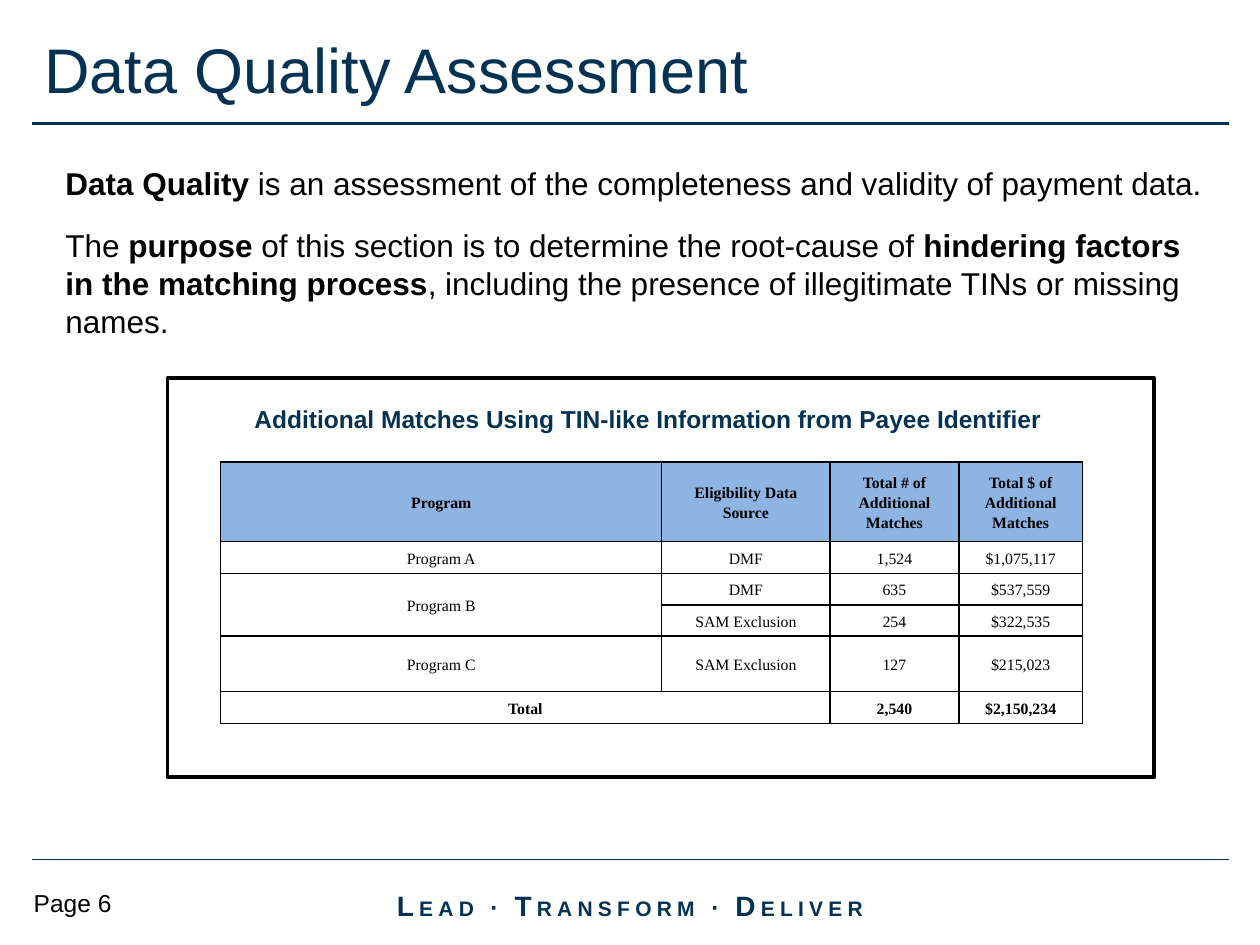
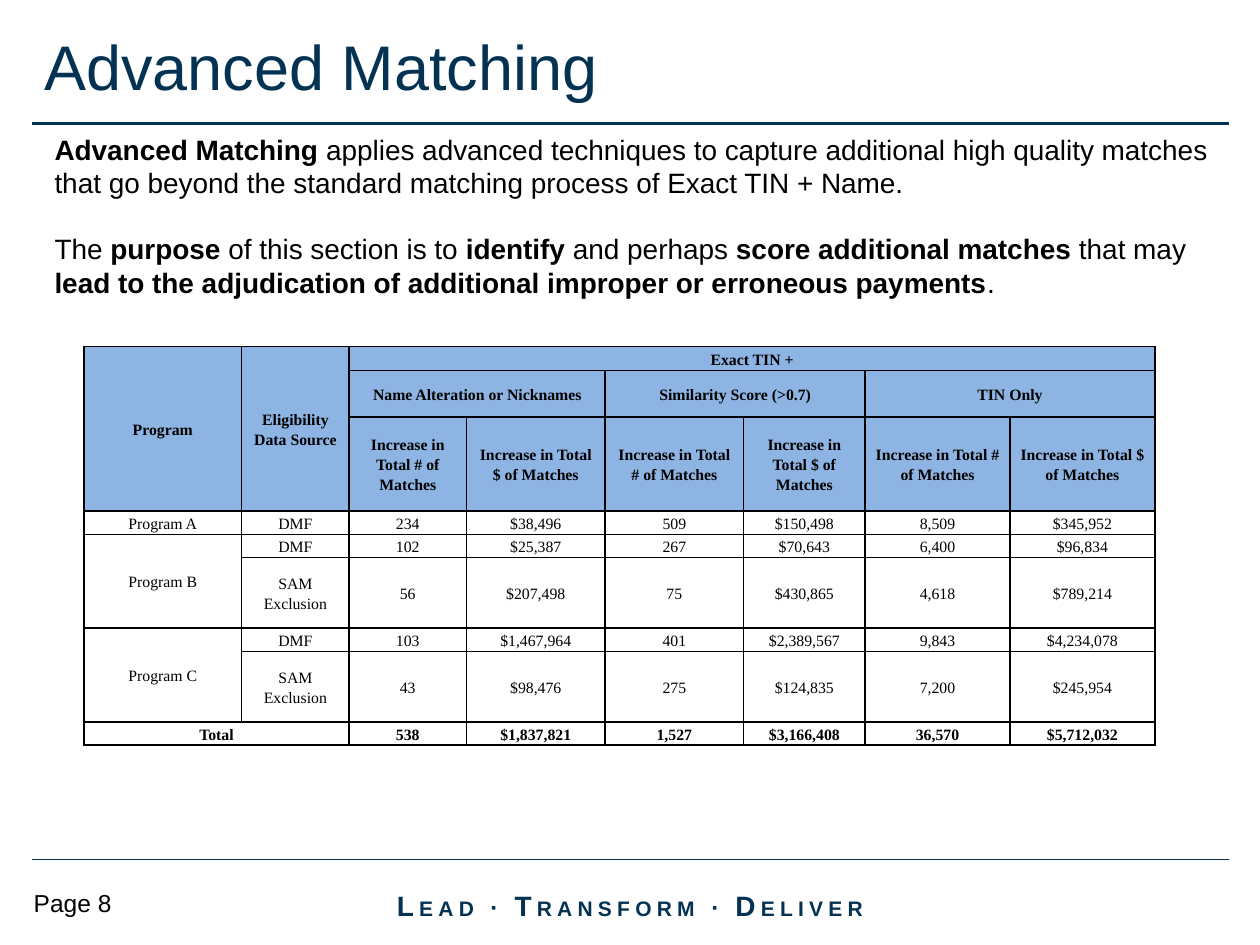
from dataclasses import dataclass

from lxml import etree
from pptx import Presentation
from pptx.dml.color import RGBColor
from pptx.enum.shapes import MSO_CONNECTOR, MSO_SHAPE
from pptx.enum.text import MSO_ANCHOR, MSO_AUTO_SIZE, PP_ALIGN
from pptx.oxml.ns import qn
from pptx.util import Cm, Pt

LEFT, CENTER = PP_ALIGN.LEFT, PP_ALIGN.CENTER
TOP, MIDDLE = MSO_ANCHOR.TOP, MSO_ANCHOR.MIDDLE
STRAIGHT, RECTANGLE = MSO_CONNECTOR.STRAIGHT, MSO_SHAPE.RECTANGLE
NO_AUTOFIT = MSO_AUTO_SIZE.NONE
TITLE_ONLY = 5


@dataclass(frozen=True)
class Theme:
    navy: str = "043253"
    black: str = "000000"
    white: str = "FFFFFF"
    header_blue: str = "8DB4E2"
    sans: str = "Arial"
    serif: str = "Times New Roman"
    title_size: int = 36
    caption_size: int = 14
    page_size: int = 14
    slogan_initial: int = 16
    slogan_dot: int = 14
    slogan_rest: int = 12
    table_size: int = 9


THEME = Theme()

# Content. Boxes are left, top, width, height in centimetres; **text** is bold.
# In a table, "<" continues the cell to the left and "^" the cell above.
SLOGAN = ["Lead", "Transform", "Deliver"]
COUNT, AMOUNT = "Increase in Total # of Matches", "Increase in Total $ of Matches"

SLIDES = [
    {
        "title": "Data Quality Assessment",
        "title_anchor": MIDDLE,
        "page": 6,
        "body": {
            "box": (1.07, 3.18, 23.57, 3.84),
            "size": 18,
            "gap": 14,
            "paragraphs": [
                "**Data Quality** is an assessment of the completeness and validity "
                "of payment data.",
                "The **purpose** of this section is to determine the root-cause of "
                "**hindering factors in the matching process**, including the "
                "presence of illegitimate TINs or missing names.",
            ],
        },
        "panel": {
            "box": (3.38, 7.62, 19.89, 8.05),
            "caption": "Additional Matches Using TIN-like Information from Payee Identifier",
            "caption_box": (4.88, 8.03, 19.2, 0.86),
        },
        "table": {
            "corner": (4.45, 9.31),
            "columns": [8.89, 3.39, 2.6, 2.49],
            "heights": [1.61, 0.64, 0.64, 0.62, 1.12, 0.64],
            "header_rows": 1,
            "rows": [
                ["Program", "Eligibility Data Source",
                 "Total # of Additional Matches", "Total $ of Additional Matches"],
                ["Program A", "DMF", "1,524", "$1,075,117"],
                ["Program B", "DMF", "635", "$537,559"],
                ["^", "SAM Exclusion", "254", "$322,535"],
                ["Program C", "SAM Exclusion", "127", "$215,023"],
                ["Total", "<", "2,540", "$2,150,234"],
            ],
        },
    },
    {
        "title": "Advanced Matching",
        "title_anchor": TOP,
        "page": 8,
        "body": {
            "box": (0.85, 2.54, 23.93, 3.68),
            "size": 16,
            "gap": 18.4,
            "paragraphs": [
                "**Advanced Matching** applies advanced techniques to capture "
                "additional high quality matches that go beyond the standard "
                "matching process of Exact TIN + Name.",
                "The **purpose** of this section is to **identify** and perhaps "
                "**score additional matches** that may **lead to the adjudication "
                "of additional improper or erroneous payments**.",
            ],
        },
        "table": {
            "corner": (1.69, 6.99),
            "columns": [3.18, 2.17, 2.36, 2.8, 2.79, 2.45, 2.92, 2.92],
            "heights": [0.48, 0.94, 1.89, 0.47, 0.47, 1.42, 0.47, 1.42, 0.47],
            "header_rows": 3,
            "rows": [
                ["Program", "Eligibility Data Source", "Exact TIN +", *"<<<<<"],
                ["^", "^", "Name Alteration or Nicknames", "<",
                 "Similarity Score (>0.7)", "<", "TIN Only", "<"],
                ["^", "^", *[COUNT, AMOUNT] * 3],
                ["Program A", "DMF", "234", "$38,496", "509", "$150,498", "8,509", "$345,952"],
                ["Program B", "DMF", "102", "$25,387", "267", "$70,643", "6,400", "$96,834"],
                ["^", "SAM Exclusion", "56", "$207,498", "75", "$430,865", "4,618", "$789,214"],
                ["Program C", "DMF", "103", "$1,467,964", "401", "$2,389,567",
                 "9,843", "$4,234,078"],
                ["^", "SAM Exclusion", "43", "$98,476", "275", "$124,835", "7,200", "$245,954"],
                ["Total", "<", "538", "$1,837,821", "1,527", "$3,166,408",
                 "36,570", "$5,712,032"],
            ],
        },
    },
]

TITLE_BOX = (0.64, 0.43, 24.13, 1.9)
SLOGAN_BOX = (7.19, 17.75, 11.02, 1.02)
PAGE_BOX = (0.43, 17.78, 3.18, 0.84)
RULE_LEFT, RULE_RIGHT = 0.64, 24.77
RULES = [(2.49, 2.25), (17.32, 0.75)]  # top in centimetres, weight in points


def lengths(values):
    return [Cm(value) for value in values]


def set_values(target, values):
    for name, value in values.items():
        setattr(target, name, value)


def add_run(paragraph, text, size, color=THEME.black, bold=False, font=THEME.sans):
    run = paragraph.add_run()
    run.text = text
    set_values(run.font, {"name": font, "size": Pt(size), "bold": bold})
    run.font.color.rgb = RGBColor.from_string(color)
    return run


def add_text_box(slide, box, anchor=TOP):
    frame = slide.shapes.add_textbox(*lengths(box)).text_frame
    set_values(frame, {"word_wrap": True, "vertical_anchor": anchor})
    return frame


def add_title(slide, text, anchor):
    title = slide.shapes.title
    set_values(title, dict(zip(("left", "top", "width", "height"), lengths(TITLE_BOX))))
    frame = title.text_frame
    set_values(frame, {"word_wrap": True, "vertical_anchor": anchor, "auto_size": NO_AUTOFIT})
    paragraph = frame.paragraphs[0]
    paragraph.alignment = LEFT
    add_run(paragraph, text, THEME.title_size, THEME.navy)


def add_rule(slide, top, weight):
    rule = slide.shapes.add_connector(
        STRAIGHT, *lengths((RULE_LEFT, top, RULE_RIGHT, top)))
    rule.line.color.rgb = RGBColor.from_string(THEME.navy)
    rule.line.width = Pt(weight)
    etree.SubElement(rule._element.spPr, qn("a:effectLst"))


def add_slogan(slide):
    """Write the slogan as spaced capitals with larger initials."""
    paragraph = add_text_box(slide, SLOGAN_BOX, MIDDLE).paragraphs[0]
    paragraph.alignment = CENTER
    pieces = []
    for word in SLOGAN:
        if pieces:
            pieces.append((" ", THEME.slogan_rest))
            pieces.append(("∙ ", THEME.slogan_dot))
        pieces.append((word[0], THEME.slogan_initial))
        pieces.append((word[1:].upper(), THEME.slogan_rest))
    for text, size in pieces:
        run = add_run(paragraph, text, size, THEME.navy, bold=True)
        run._r.get_or_add_rPr().set("spc", "300")


def add_frame(slide, page):
    """Add the rules, slogan and page label that every slide carries."""
    for top, weight in RULES:
        add_rule(slide, top, weight)
    add_slogan(slide)
    page_label = add_text_box(slide, PAGE_BOX).paragraphs[0]
    add_run(page_label, f"Page {page}", THEME.page_size)


def add_body(slide, body):
    frame = add_text_box(slide, body["box"])
    for index, marked_text in enumerate(body["paragraphs"]):
        paragraph = frame.add_paragraph() if index else frame.paragraphs[0]
        paragraph.space_before = Pt(body["gap"] if index else 0)
        for part, text in enumerate(marked_text.split("**")):
            if text:
                add_run(paragraph, text, body["size"], bold=part % 2 == 1)


def add_panel(slide, panel):
    shape = slide.shapes.add_shape(RECTANGLE, *lengths(panel["box"]))
    shape.shadow.inherit = False
    shape.fill.solid()
    shape.fill.fore_color.rgb = RGBColor.from_string(THEME.white)
    shape.line.color.rgb = RGBColor.from_string(THEME.black)
    shape.line.width = Pt(2)
    caption = add_text_box(slide, panel["caption_box"]).paragraphs[0]
    add_run(caption, panel["caption"], THEME.caption_size, THEME.navy, bold=True)


def add_borders(cell):
    properties = cell._tc.get_or_add_tcPr()
    for side in ("lnL", "lnR", "lnT", "lnB"):
        line = etree.SubElement(properties, qn(f"a:{side}"), w=str(Pt(1)))
        fill = etree.SubElement(line, qn("a:solidFill"))
        etree.SubElement(fill, qn("a:srgbClr"), val=THEME.black)


def span_end(rows, row, column):
    """Return the last row and column that the cell covers."""
    last_row, last_column = row, column
    while last_column + 1 < len(rows[row]) and rows[row][last_column + 1] == "<":
        last_column += 1
    while last_row + 1 < len(rows) and rows[last_row + 1][column] == "^":
        last_row += 1
    return last_row, last_column


def format_cell(cell, is_header):
    set_values(cell, {"margin_left": Cm(0.18), "margin_right": Cm(0.18),
                      "margin_top": 0, "margin_bottom": 0, "vertical_anchor": MIDDLE})
    add_borders(cell)
    if is_header:
        cell.fill.solid()
        cell.fill.fore_color.rgb = RGBColor.from_string(THEME.header_blue)
    else:
        cell.fill.background()


def add_data_table(slide, data):
    rows, columns, heights = data["rows"], data["columns"], data["heights"]
    box = (*data["corner"], sum(columns), sum(heights))
    table = slide.shapes.add_table(len(rows), len(columns), *lengths(box)).table
    set_values(table, {"first_row": False, "horz_banding": False})
    for column, width in zip(table.columns, columns):
        column.width = Cm(width)
    for row, height in zip(table.rows, heights):
        row.height = Cm(height)
    for i, row in enumerate(rows):
        is_header = i < data["header_rows"]
        for j, text in enumerate(row):
            cell = table.cell(i, j)
            format_cell(cell, is_header)
            if text in ("<", "^"):
                continue
            end = span_end(rows, i, j)
            if end != (i, j):
                cell.merge(table.cell(*end))
            paragraph = cell.text_frame.paragraphs[0]
            set_values(paragraph, {"alignment": CENTER, "line_spacing": 1.15})
            add_run(paragraph, text, THEME.table_size, font=THEME.serif,
                    bold=is_header or i == len(rows) - 1)


def main():
    presentation = Presentation()
    presentation.slide_width, presentation.slide_height = Cm(25.4), Cm(19.05)
    for content in SLIDES:
        slide = presentation.slides.add_slide(presentation.slide_layouts[TITLE_ONLY])
        add_frame(slide, content["page"])
        add_title(slide, content["title"], content["title_anchor"])
        add_body(slide, content["body"])
        if "panel" in content:
            add_panel(slide, content["panel"])
        add_data_table(slide, content["table"])
    presentation.save("out.pptx")


if __name__ == "__main__":
    main()
